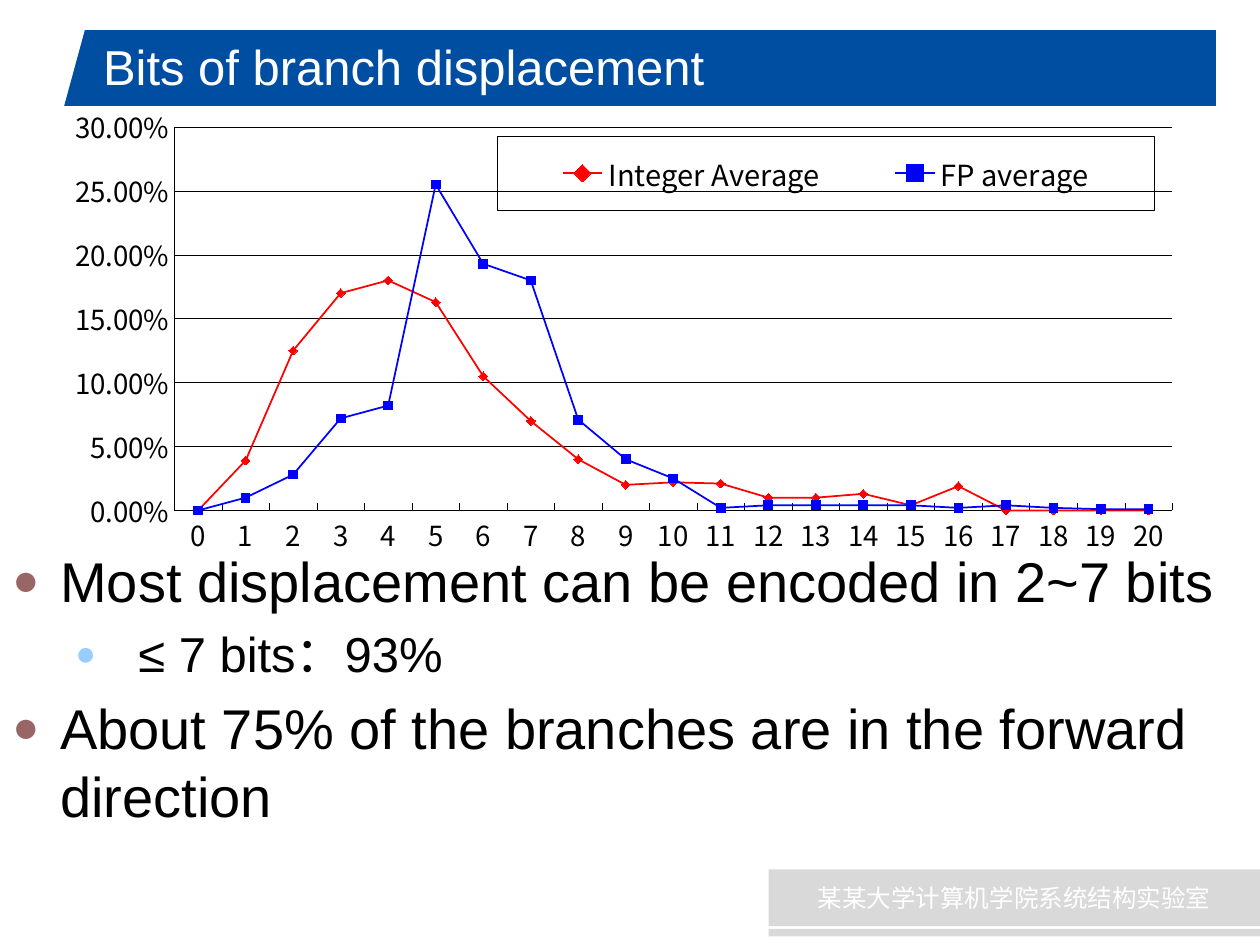
from typing import NamedTuple

from lxml.etree import SubElement
from pptx import Presentation
from pptx.chart.data import CategoryChartData
from pptx.dml.color import RGBColor
from pptx.enum.chart import XL_CHART_TYPE, XL_LEGEND_POSITION, XL_MARKER_STYLE, XL_TICK_MARK
from pptx.enum.shapes import MSO_SHAPE
from pptx.enum.text import MSO_ANCHOR, PP_ALIGN
from pptx.oxml import parse_xml
from pptx.oxml.ns import nsdecls, qn
from pptx.util import Inches, Pt

W, H = 10, 7.5
BLUE, GREY, BLACK, WHITE = "004EA2", "D9D9D9", "000000", "FFFFFF"
LATIN, CJK = "Arial", "Noto Sans CJK SC"


class Box(NamedTuple):
    """A rectangle given as shares of the slide's or chart's size."""
    x: float
    y: float
    w: float
    h: float


class Bar(NamedTuple):
    """A plain filled shape of the slide's frame."""
    kind: MSO_SHAPE
    box: Box
    fill: str


class Point(NamedTuple):
    """A bulleted paragraph."""
    text: str
    level: int
    size: float
    margin: float
    hang: float
    bullet: str
    bullet_pct: int


class Line(NamedTuple):
    """A chart series with values in percent."""
    name: str
    percents: tuple
    color: str
    marker: XL_MARKER_STYLE


BARS = [
    Bar(MSO_SHAPE.TRAPEZOID, Box(0.051, 0.032, 0.406, 0.08), BLUE),
    Bar(MSO_SHAPE.RECTANGLE, Box(0.382, 0.032, 0.583, 0.08), BLUE),
    Bar(MSO_SHAPE.RECTANGLE, Box(0.485, 0.105, 0.48, 0.007), BLUE),
    Bar(MSO_SHAPE.RECTANGLE, Box(0.61, 0.92, 0.39, 0.06), GREY),
    Bar(MSO_SHAPE.RECTANGLE, Box(0.61, 0.983, 0.39, 0.008), GREY),
]
POINTS = [
    Point("Most displacement can be encoded in 2~7 bits", 0, 32, 0.38, 0.38, "996666", 80),
    Point("\t≤ 7 bits：93%", 1, 28, 0.81, 0.31, "99CCFF", 70),
    Point("About 75% of the branches are in the forward direction", 0, 32, 0.38, 0.38, "996666", 80),
]
LINES = [
    Line("Integer Average", (0, 3.9, 12.5, 17, 18, 16.3, 10.5, 7, 4, 2, 2.2, 2.1, 1, 1, 1.3,
                             0.4, 1.9, 0, 0, 0, 0), "FF0000", XL_MARKER_STYLE.DIAMOND),
    Line("FP average", (0, 1, 2.8, 7.2, 8.2, 25.5, 19.3, 18, 7.1, 4, 2.5, 0.2, 0.4, 0.4, 0.4,
                        0.4, 0.2, 0.4, 0.2, 0.1, 0.1), "0000FF", XL_MARKER_STYLE.SQUARE),
]


def rgb(color: str) -> RGBColor:
    """Turn a hex string into a colour."""
    return RGBColor.from_string(color)


def place(box: Box) -> tuple:
    """Turn slide shares into lengths."""
    return Inches(box.x * W), Inches(box.y * H), Inches(box.w * W), Inches(box.h * H)


def style(font, size: float, color: str, name: str) -> None:
    """Set size, colour and typeface of a font."""
    font.size, font.name, font.bold = Pt(size), name, False
    font.color.rgb = rgb(color)


def stroke(line, color: str, width: float) -> None:
    """Set colour and width of a line."""
    line.color.rgb, line.width = rgb(color), Pt(width)


def add_bar(s, bar: Bar):
    """Draw one bar of the frame."""
    sp = s.shapes.add_shape(bar.kind, *place(bar.box))
    sp.shadow.inherit = False
    sp.fill.solid()
    sp.fill.fore_color.rgb = rgb(bar.fill)
    sp.line.fill.background()
    return sp


def add_text(s, box: Box, anchor: MSO_ANCHOR):
    """Add a wrapping text frame."""
    tf = s.shapes.add_textbox(*place(box)).text_frame
    tf.word_wrap, tf.vertical_anchor = True, anchor
    return tf


def write_point(p, pt: Point) -> None:
    """Write one bulleted paragraph."""
    p.text, p.level, p.space_before = pt.text, pt.level, Pt(pt.size * 0.2)
    style(p.font, pt.size, BLACK, LATIN)
    pPr = p._p.get_or_add_pPr()
    pPr.set("marL", str(Inches(pt.margin)))
    pPr.set("indent", str(-Inches(pt.hang)))
    bullet = (f'<a:buClr {nsdecls("a")}><a:srgbClr val="{pt.bullet}"/></a:buClr>',
              f'<a:buSzPct {nsdecls("a")} val="{pt.bullet_pct * 1000}"/>',
              f'<a:buFont {nsdecls("a")} typeface="{LATIN}"/>',
              f'<a:buChar {nsdecls("a")} char="●"/>')
    rest = pPr.find(qn("a:defRPr"))
    for xml in bullet:
        rest.addprevious(parse_xml(xml))


def set_layout(parent, index: int, box: Box, target: str = "") -> None:
    """Replace the layout of a chart part by shares of the chart's size."""
    for old in parent.findall(qn("c:layout")):
        parent.remove(old)
    modes = "".join(f'<c:{k}Mode val="edge"/>' for k in "xy")
    sizes = "".join(f'<c:{k} val="{v}"/>' for k, v in zip("xywh", box))
    parent.insert(index, parse_xml(f'<c:layout {nsdecls("c")}><c:manualLayout>{target}{modes}'
                                   f'{sizes}</c:manualLayout></c:layout>'))


def add_legend(ch, box: Box) -> None:
    """Add the outlined legend across the top of the plot."""
    ch.has_legend = True
    lg = ch.legend
    lg.position, lg.include_in_layout = XL_LEGEND_POSITION.RIGHT, False
    style(lg.font, 16.6, BLACK, CJK)
    set_layout(lg._element, 1, box)
    lg._element.find(qn("c:txPr")).addprevious(parse_xml(
        f'<c:spPr {nsdecls("c", "a")}><a:noFill/><a:ln w="3175"><a:solidFill>'
        f'<a:srgbClr val="{BLACK}"/></a:solidFill></a:ln></c:spPr>'))


def add_line_chart(s, box: Box, plot: Box, legend: Box) -> None:
    """Draw the line chart with its legend inside the plot."""
    data = CategoryChartData(number_format="0.00%")
    data.categories = [str(bits) for bits in range(21)]
    for ln in LINES:
        data.add_series(ln.name, [round(v / 100, 3) for v in ln.percents])
    ch = s.shapes.add_chart(XL_CHART_TYPE.LINE_MARKERS, *place(box), data).chart
    style(ch.font, 18, BLACK, CJK)
    ch.has_title = False
    for ax in (ch.category_axis, ch.value_axis):
        style(ax.tick_labels.font, 15.8, BLACK, CJK)
        stroke(ax.format.line, BLACK, 0.25)
        ax.major_tick_mark, ax.minor_tick_mark = XL_TICK_MARK.INSIDE, XL_TICK_MARK.NONE
    val = ch.value_axis
    val.minimum_scale, val.maximum_scale, val.major_unit = 0, 0.3, 0.05
    val.tick_labels.number_format, val.tick_labels.number_format_is_linked = "0.00%", False
    stroke(val.major_gridlines.format.line, BLACK, 0.25)
    for ser, ln in zip(ch.plots[0].series, LINES):
        ser.smooth = False
        stroke(ser.format.line, ln.color, 1)
        ser.marker.style, ser.marker.size = ln.marker, 5
        ser.marker.format.fill.solid()
        ser.marker.format.fill.fore_color.rgb = rgb(ln.color)
        stroke(ser.marker.format.line, ln.color, 0.75)
    ch.plots[0].vary_by_categories = False
    add_legend(ch, legend)
    set_layout(ch._chartSpace.chart.plotArea, 0, plot, '<c:layoutTarget val="inner"/>')


def main() -> None:
    """Build and save the slide."""
    prs = Presentation()
    prs.slide_width, prs.slide_height = Inches(W), Inches(H)
    s = prs.slides.add_slide(prs.slide_layouts[6])
    bars = [add_bar(s, bar) for bar in BARS]
    bars[0].adjustments[0] = 0.273
    tf = bars[3].text_frame
    tf.vertical_anchor = MSO_ANCHOR.MIDDLE
    p = tf.paragraphs[0]
    r = p.add_run()
    r.text, p.alignment = "某某大学计算机学院系统结构实验室", PP_ALIGN.CENTER
    style(r.font, 14, WHITE, CJK)
    SubElement(r._r.get_or_add_rPr(), qn("a:ea")).set("typeface", CJK)
    tf = add_text(s, Box(0, 0.572, 0.98, 0.323), MSO_ANCHOR.TOP)
    for i, pt in enumerate(POINTS):
        write_point(tf.add_paragraph() if i else tf.paragraphs[0], pt)
    p = add_text(s, Box(0.072, 0.033, 0.864, 0.073), MSO_ANCHOR.MIDDLE).paragraphs[0]
    p.text = "Bits of branch displacement"
    style(p.font, 28, WHITE, LATIN)
    add_line_chart(s, Box(0.035, 0.108, 0.899, 0.519), Box(0.115, 0.051, 0.881, 0.782),
                   Box(0.4, 0.07, 0.58, 0.15))
    prs.save("out.pptx")


if __name__ == "__main__":
    main()
